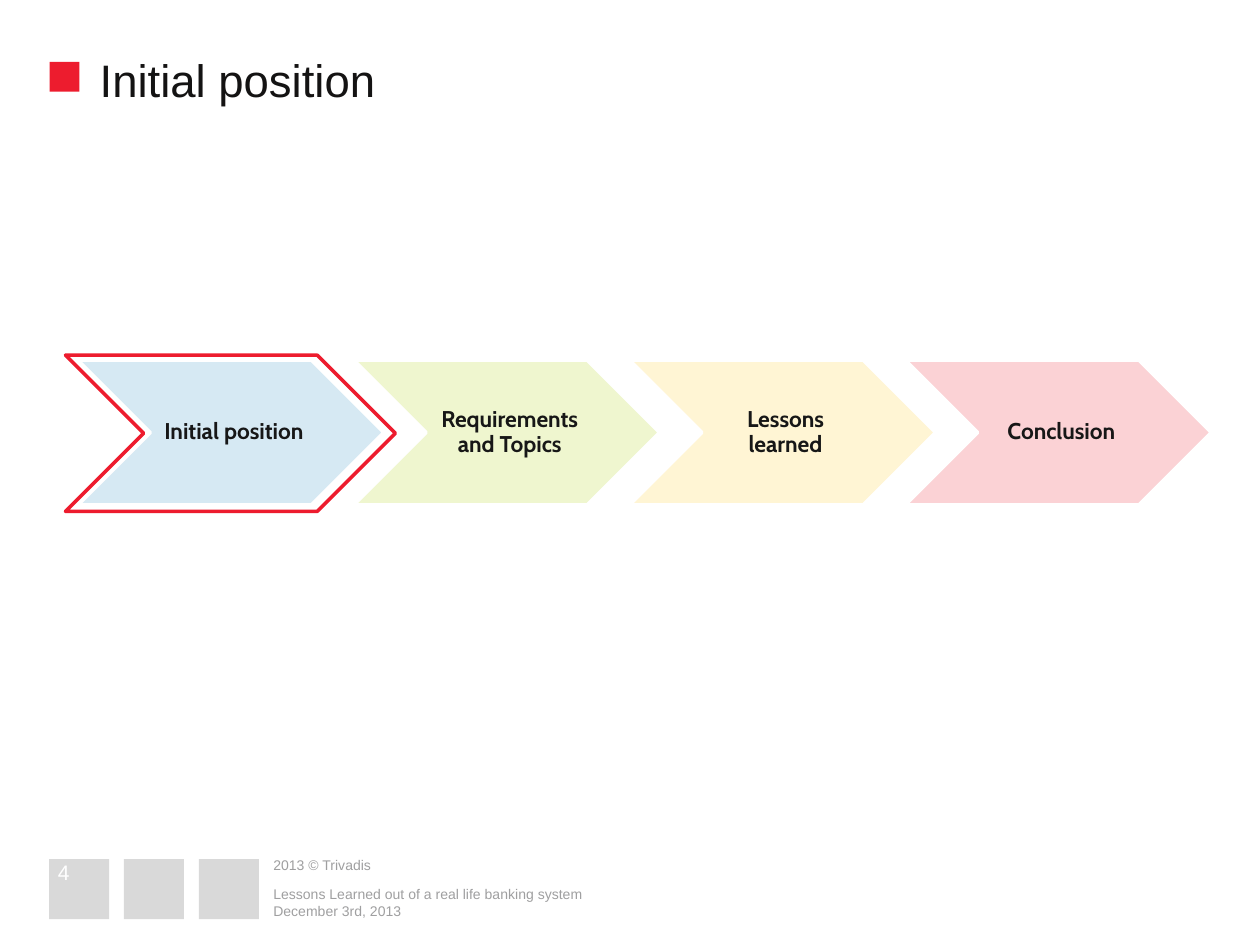
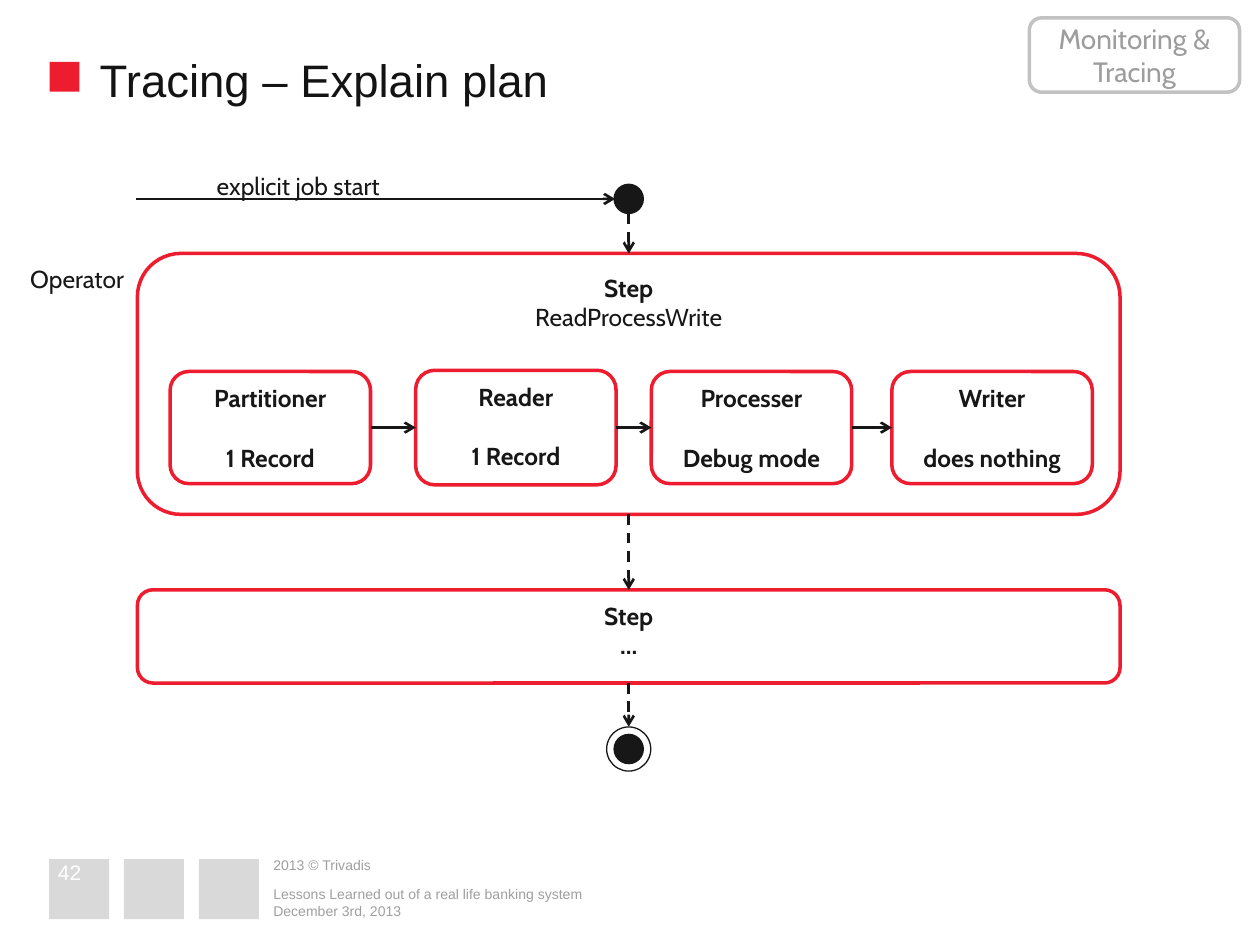
"""Build two slides: an agenda chevron row and a job tracing flow."""
from pptx import Presentation
from pptx.dml.color import RGBColor
from pptx.enum.dml import MSO_LINE
from pptx.enum.shapes import MSO_CONNECTOR, MSO_SHAPE
from pptx.enum.text import MSO_ANCHOR, MSO_AUTO_SIZE, PP_ALIGN
from pptx.oxml.ns import qn
from pptx.util import Cm, Pt
from lxml import etree

RECT, ROUNDED = MSO_SHAPE.RECTANGLE, MSO_SHAPE.ROUNDED_RECTANGLE
CHEVRON, OVAL = MSO_SHAPE.CHEVRON, MSO_SHAPE.OVAL
STRAIGHT = MSO_CONNECTOR.STRAIGHT
LEFT, CENTER = PP_ALIGN.LEFT, PP_ALIGN.CENTER
TOP, MIDDLE, BOTTOM = MSO_ANCHOR.TOP, MSO_ANCHOR.MIDDLE, MSO_ANCHOR.BOTTOM
NO_FIT, DASH = MSO_AUTO_SIZE.NONE, MSO_LINE.DASH

RED, INK, TITLE_INK, WHITE = "ED1C2E", "171717", "141313", "FFFFFF"
SQUARE_GREY, FOOTER_GREY = "D9D9D9", "9F9FA0"
BADGE_LINE, BADGE_INK = "C2C2C2", "9D9D9D"
SANS, CABIN = "Arial", "Cabin"
NO_INSETS = (0, 0, 0, 0)
BOX_INSETS = (0.25, 0.13, 0.25, 0.13)
CHAPTER_INSETS = (0.15, 0.05, 0.05, 0.05)

CHAPTERS = [
    ("Initial position", "D6E9F3"),
    ("Requirements and Topics", "EFF6CF"),
    ("Lessons learned", "FFF5D4"),
    ("Conclusion", "FBD2D5"),
]
TASKS = [
    (3.43, 2.26, "Partitioner\n1 Record"),
    (8.38, 2.31, "Reader\n1 Record"),
    (13.13, 2.26, "Processer\nDebug mode"),
    (17.98, 2.26, "Writer\ndoes nothing"),
]
TASK_WIDTH, TASK_MIDDLE = 4.04, 8.62
STEP_LEFT, STEP_WIDTH = 2.77, 19.81
AXIS = STEP_LEFT + STEP_WIDTH / 2


def color(value):
    """Turn a hex string into a colour."""
    return RGBColor.from_string(value)


def write_text(box, text, size=14, font=CABIN, ink=INK, bold=False, detail_bold=None,
               align=LEFT, anchor=TOP, insets=NO_INSETS, gap=0, spacing=None):
    """Write one paragraph per line of text; later lines may differ in weight."""
    frame = box.text_frame
    frame.word_wrap = True
    frame.auto_size = NO_FIT
    frame.vertical_anchor = anchor
    (frame.margin_left, frame.margin_top,
     frame.margin_right, frame.margin_bottom) = map(Cm, insets)
    for index, line in enumerate(text.split("\n")):
        para = frame.add_paragraph() if index else frame.paragraphs[0]
        para.alignment = align
        para.space_before = Pt(gap if index else 0)
        if spacing:
            para.line_spacing = spacing
        span = para.add_run()
        span.text = line
        span.font.name = font
        span.font.size = Pt(size)
        span.font.bold = detail_bold if index and detail_bold is not None else bold
        span.font.color.rgb = color(ink)


def add_label(page, left, top, width, height, text, **style):
    """Add a text box."""
    box = page.shapes.add_textbox(Cm(left), Cm(top), Cm(width), Cm(height))
    write_text(box, text, **style)


def add_figure(page, kind, left, top, width, height, fill=None, line=None, weight=2):
    """Add a preset shape with an optional fill and outline."""
    figure = page.shapes.add_shape(kind, Cm(left), Cm(top), Cm(width), Cm(height))
    figure.shadow.inherit = False
    if fill:
        figure.fill.solid()
        figure.fill.fore_color.rgb = color(fill)
    else:
        figure.fill.background()
    if line:
        figure.line.color.rgb = color(line)
        figure.line.width = Pt(weight)
    else:
        figure.line.fill.background()
    return figure


def add_box(page, left, top, width, height, text, fill=None, line=RED, **style):
    """Add a rounded box with centred text."""
    box = add_figure(page, ROUNDED, left, top, width, height, fill, line)
    write_text(box, text, align=CENTER, insets=BOX_INSETS, **style)


def add_disc(page, middle, diameter, fill=None):
    """Add a circle centred on the flow axis."""
    add_figure(page, OVAL, AXIS - diameter / 2, middle - diameter / 2,
               diameter, diameter, fill, INK, 0.75)


def add_arrow(page, start_x, start_y, end_x, end_y, dashed=False):
    """Add a straight arrow."""
    arrow = page.shapes.add_connector(
        STRAIGHT, Cm(start_x), Cm(start_y), Cm(end_x), Cm(end_y))
    arrow.line.color.rgb = color(INK)
    arrow.line.width = Pt(1.5)
    if dashed:
        arrow.line.dash_style = DASH
    properties = arrow.element.spPr
    etree.SubElement(properties.find(qn("a:ln")), qn("a:tailEnd"), type="arrow")
    etree.SubElement(properties, qn("a:effectLst"))


def add_page(deck, title, number):
    """Add a slide with the shared title, marker and footer."""
    page = deck.slides.add_slide(deck.slide_layouts[5])
    heading = page.shapes.title
    heading.left, heading.top = Cm(2.01), Cm(0.94)
    heading.width, heading.height = Cm(22.73), Cm(1.02)
    write_text(heading, title, size=26, font=SANS, ink=TITLE_INK, insets=(0, 0.1, 0, 0))
    add_figure(page, RECT, 1, 1.25, 0.6, 0.6, SQUARE_GREY and RED)
    for column in range(3):
        add_figure(page, RECT, 0.99 + 1.51 * column, 17.32, 1.21, 1.21, SQUARE_GREY)
    footer = {"size": 8, "font": SANS, "ink": FOOTER_GREY}
    add_label(page, 5.51, 17.25, 3.43, 0.38, "2013 © Trivadis", anchor=MIDDLE, **footer)
    add_label(page, 5.51, 17.73, 13.61, 0.46,
              "Lessons Learned out of a real life banking system", anchor=BOTTOM, **footer)
    add_label(page, 5.51, 18.08, 13.61, 0.46, "December 3rd, 2013", anchor=BOTTOM, **footer)
    add_label(page, 1.17, 17.37, 1.22, 0.43, str(number),
              size=12, font=SANS, ink=WHITE, anchor=MIDDLE)
    return page


def build_agenda(deck):
    """Build the chapter row with the first chapter highlighted."""
    page = add_page(deck, "Initial position", 4)
    for index, (name, fill) in enumerate(CHAPTERS):
        left = 1.57 + 5.56 * index
        add_figure(page, CHEVRON, left, 7.26, 6.17, 2.92, fill, WHITE)
        add_label(page, left + 1.47, 7.26, 3.25, 2.92, name, size=13, bold=True,
                  align=CENTER, anchor=MIDDLE, insets=CHAPTER_INSETS, spacing=0.9)
    add_figure(page, CHEVRON, 1.32, 7.16, 6.65, 3.15, line=RED)


def build_tracing(deck):
    """Build the job flow from start disc to end disc."""
    page = add_page(deck, "Tracing – Explain plan", 42)
    add_box(page, STEP_LEFT, 5.11, STEP_WIDTH, 5.26, "Step\nReadProcessWrite",
            bold=True, detail_bold=False)
    add_box(page, STEP_LEFT, 11.89, STEP_WIDTH, 1.88, "Step\n…", bold=True)
    for left, height, text in TASKS:
        add_box(page, left, TASK_MIDDLE - height / 2, TASK_WIDTH, height, text,
                bold=True, gap=17)
    for task, following in zip(TASKS, TASKS[1:]):
        add_arrow(page, task[0] + TASK_WIDTH, TASK_MIDDLE, following[0], TASK_MIDDLE)
    add_arrow(page, 2.74, 4.01, 12.4, 4.01)
    for start, end in [(4.31, 5.11), (10.37, 11.89), (13.77, 14.65)]:
        add_arrow(page, AXIS, start, AXIS, end, dashed=True)
    add_disc(page, 4.01, 0.59, INK)
    add_disc(page, 15.1, 0.59, INK)
    add_disc(page, 15.1, 0.89)
    add_label(page, 0.61, 5.33, 2.01, 0.61, "Operator")
    add_label(page, 4.37, 3.45, 3.53, 0.61, "explicit job start")
    add_box(page, 20.75, 0.36, 4.24, 1.5, "Monitoring & Tracing", fill=WHITE,
            line=BADGE_LINE, size=16, ink=BADGE_INK, anchor=MIDDLE)


def main():
    """Create the deck and save it."""
    deck = Presentation()
    deck.slide_width, deck.slide_height = Cm(25.4), Cm(19.05)
    build_agenda(deck)
    build_tracing(deck)
    deck.save("out.pptx")


if __name__ == "__main__":
    main()
